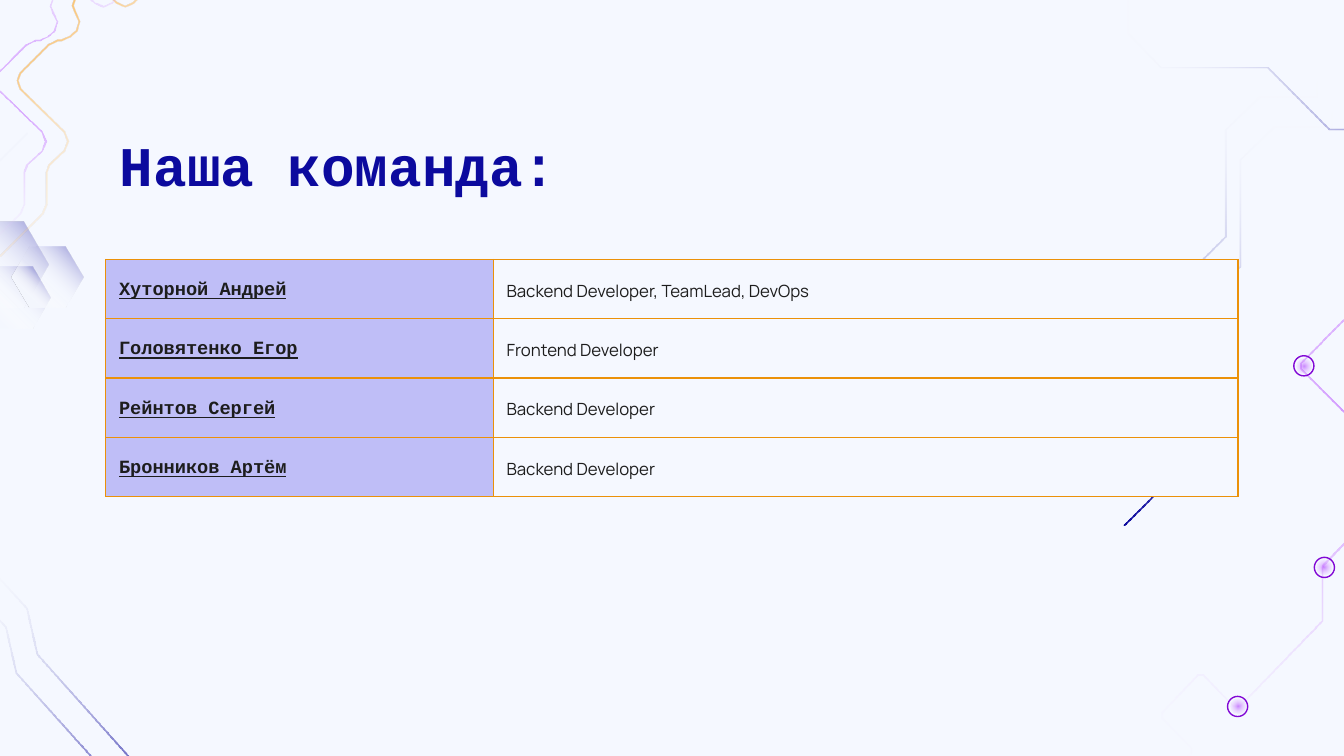
from math import hypot

from pptx import Presentation
from pptx.dml.color import RGBColor
from pptx.enum.shapes import MSO_SHAPE
from pptx.enum.text import MSO_ANCHOR, PP_ALIGN
from pptx.oxml import parse_xml
from pptx.oxml.ns import nsdecls
from pptx.util import Pt

OVAL, HEXAGON = MSO_SHAPE.OVAL, MSO_SHAPE.HEXAGON
TOP, MIDDLE, LEFT = MSO_ANCHOR.TOP, MSO_ANCHOR.MIDDLE, PP_ALIGN.LEFT

# Colours
PAPER = RGBColor(0xF5, 0xF8, 0xFF)
NAVY = RGBColor(0x0C, 0x0A, 0x9E)
INK = RGBColor(0x1D, 0x1D, 0x1D)
LILAC = RGBColor(0xBF, 0xBE, 0xF7)
ORANGE = RGBColor(0xEB, 0x91, 0x09)
AMBER = RGBColor(0xFF, 0x99, 0x00)
VIOLET = RGBColor(0x99, 0x00, 0xFF)
PURPLE = RGBColor(0x82, 0x08, 0xD5)
WHITE = RGBColor(0xFF, 0xFF, 0xFF)

# Content
HEADING = "Наша команда:"
TEAM = [
    ("Хуторной Андрей", "Backend Developer, TeamLead, DevOps"),
    ("Головятенко Егор", "Frontend Developer"),
    ("Рейнтов Сергей", "Backend Developer"),
    ("Бронников Артём", "Backend Developer"),
]
COLUMNS = (207.6, 399)
ROW_HEIGHT = 31.8

# Gradients: (position %, colour, opacity %)
NAVY_FADE = [(0, NAVY, 100), (100, WHITE, 0)]
PALE_FADE = [(0, NAVY, 37), (100, WHITE, 0)]
ORANGE_FADE = [(0, ORANGE, 100), (40, AMBER, 41), (100, WHITE, 0)]
VIOLET_GLOW = [(0, VIOLET, 47), (100, WHITE, 0)]
HEX_FADE = [(0, PAPER, 100), (22, PAPER, 100), (45, WHITE, 0), (100, NAVY, 50)]

# Circuit traces, as centre lines in points
STEPS = [(602.5, 281), (631.5, 252), (631.5, 175.5), (664.5, 142.5),
         (664.5, 85.5), (682.5, 68), (713.5, 68), (713.5, 58.5)]
CORNER = [(85, 450), (78.5, 416), (20, 350.5), (14.5, 326), (-11.5, 297.5)]
ZIGZAG = [(870, 21.5), (826, 65.5), (826, 68.5), (847.5, 90), (847.5, 93.5),
          (772, 169), (769, 169), (746.5, 147.5), (743.5, 147.5),
          (697, 194.5), (697, 197.5), (753.5, 254), (753.5, 257),
          (709, 302.5), (708.5, 304), (708.5, 332.5), (664.5, 378),
          (661, 378), (645, 361.5), (642, 361.5), (623, 381.5),
          (623, 384.5), (638.5, 400.5), (638.5, 403), (632, 410),
          (632, 413), (638.5, 420), (638, 423.5), (634.5, 422.5)]
WAVE = [(41.5, -45), (75.5, -11.5), (77, -7), (75.5, -3), (71.5, 1.5),
        (67, 3.5), (62.5, 1.5), (54, -6.5), (49.5, -8.5), (45.5, -6.5),
        (40.5, -1.5), (39, 3), (40.5, 7), (42.5, 11.5), (41, 16.5),
        (37.5, 19.5), (33, 21.5), (31, 21.5), (26, 24), (11, 39), (9.5, 43),
        (11, 47.5), (34.5, 70.5), (36.5, 75.5), (34.5, 80.5), (26.5, 88),
        (25, 92), (25, 109), (23, 114), (0, 137)]
HOOK = [(14.5, 71), (-7, 92.5), (-7, 51), (-23, 51), (-23, 13.5)]
NODES = [(663, 378.5), (709.5, 304), (698.5, 196)]
HEXAGONS = [(-27.5, 119, 53.5, 46), (-11, 143, 38, 33), (6.5, 132, 38, 33)]


def shifted(points, dx, dy):
    return [(x + dx, y + dy) for x, y in points]


def ribbon(points, width=1):
    """Closed outline around a centre line, with mitred corners."""
    normals = []
    for (x1, y1), (x2, y2) in zip(points, points[1:]):
        length = hypot(x2 - x1, y2 - y1)
        normals.append(((y1 - y2) / length, (x2 - x1) / length))
    left, right = [], []
    joints = zip(points, normals[:1] + normals, normals + normals[-1:])
    for (x, y), (ax, ay), (bx, by) in joints:
        reach = width / 2 / (1 + ax * bx + ay * by)
        dx, dy = (ax + bx) * reach, (ay + by) * reach
        left.append((x + dx, y + dy))
        right.append((x - dx, y - dy))
    return left + right[::-1]


def paint(shape, stops, angle=None):
    """Gradient fill: linear at a clockwise angle, or radial without one."""
    shape.shadow.inherit = False
    shape.line.fill.background()
    shape.fill.solid()
    marks = "".join(
        f'<a:gs pos="{pos * 1000}"><a:srgbClr val="{colour}">'
        f'<a:alpha val="{opacity * 1000}"/></a:srgbClr></a:gs>'
        for pos, colour, opacity in stops)
    if angle is None:
        course = ('<a:path path="circle"><a:fillToRect l="50000" t="50000" '
                  'r="50000" b="50000"/></a:path>')
    else:
        course = f'<a:lin ang="{round(angle * 60000)}" scaled="0"/>'
    gradient = parse_xml(f'<a:gradFill {nsdecls("a")} rotWithShape="1">'
                         f'<a:gsLst>{marks}</a:gsLst>{course}</a:gradFill>')
    properties = shape._element.spPr
    properties.replace(properties.find("{*}solidFill"), gradient)


def add_trace(points, stops, angle=None):
    start, *rest = [(Pt(x), Pt(y)) for x, y in ribbon(points)]
    builder = slide.shapes.build_freeform(*start)
    builder.add_line_segments(rest, close=True)
    paint(builder.convert_to_shape(), stops, angle)


def add_preset(kind, x, y, width, height):
    return slide.shapes.add_shape(kind, Pt(x), Pt(y), Pt(width), Pt(height))


def write(frame, text, *, font, size, color, bold=False, underline=False,
          spacing=1.15, after=0):
    paragraph = frame.paragraphs[0]
    paragraph.alignment = LEFT
    paragraph.line_spacing = spacing
    paragraph.space_before, paragraph.space_after = Pt(0), Pt(after)
    run = paragraph.add_run()
    run.text = text
    run.font.name, run.font.size = font, Pt(size)
    run.font.bold, run.font.underline = bold, underline
    run.font.color.rgb = color


def add_borders(cell, color, width):
    properties = cell._tc.get_or_add_tcPr()
    for index, side in enumerate(("lnL", "lnR", "lnT", "lnB")):
        properties.insert(index, parse_xml(
            f'<a:{side} {nsdecls("a")} w="{Pt(width)}"><a:solidFill>'
            f'<a:srgbClr val="{color}"/></a:solidFill></a:{side}>'))


prs = Presentation()
prs.slide_width, prs.slide_height = Pt(720), Pt(405)
slide = prs.slides.add_slide(prs.slide_layouts[5])
slide.background.fill.solid()
slide.background.fill.fore_color.rgb = PAPER

# Traces on the right: one stepped line, moved and turned
add_trace(STEPS, NAVY_FADE, 270)
add_trace(shifted(STEPS, -8, -16), NAVY_FADE, 270)
add_trace([(y + 536.5, 700.5 - x) for x, y in STEPS], NAVY_FADE, 180)
add_trace(ZIGZAG, VIOLET_GLOW)
for x, y in NODES:
    ring = add_preset(OVAL, x - 5.4, y - 5.4, 10.8, 10.8)
    ring.shadow.inherit = False
    ring.fill.background()
    ring.line.color.rgb, ring.line.width = PURPLE, Pt(0.75)
    paint(add_preset(OVAL, x - 4, y - 4, 8, 8), VIOLET_GLOW)

# Traces and hexagons on the left
add_trace(CORNER, NAVY_FADE, 227.8)
add_trace(shifted(CORNER, -11.5, 10), NAVY_FADE, 227.8)
for box in HEXAGONS:
    hexagon = add_preset(HEXAGON, *box)
    hexagon.adjustments[0] = 0.29
    paint(hexagon, HEX_FADE, 315)
add_trace(WAVE, ORANGE_FADE, 45)
add_trace(shifted(WAVE, -12, 0), VIOLET_GLOW)
add_trace(HOOK, PALE_FADE, 45)

# Title
title = slide.shapes.title
title.left, title.top, title.width, title.height = Pt(57), Pt(57.6), Pt(606.6), Pt(45.4)
heading = title.text_frame
heading.word_wrap, heading.vertical_anchor = True, TOP
heading.margin_left = heading.margin_right = Pt(7.2)
heading.margin_top = heading.margin_bottom = Pt(7.2)
write(heading, HEADING, font="Courier New", size=30, color=NAVY, bold=True)

# Team table
table = slide.shapes.add_table(
    len(TEAM), len(COLUMNS), Pt(56.6), Pt(139),
    Pt(sum(COLUMNS)), Pt(ROW_HEIGHT * len(TEAM))).table
table.first_row = table.horz_banding = False
for column, width in zip(table.columns, COLUMNS):
    column.width = Pt(width)
STYLES = [
    (LILAC, dict(font="Courier New", size=10, bold=True, underline=True)),
    (PAPER, dict(font="Manrope", size=9, after=16)),
]
for row, member in enumerate(TEAM):
    table.rows[row].height = Pt(ROW_HEIGHT)
    for col, (text, (background, style)) in enumerate(zip(member, STYLES)):
        cell = table.cell(row, col)
        cell.fill.solid()
        cell.fill.fore_color.rgb = background
        cell.vertical_anchor = MIDDLE
        cell.margin_left = cell.margin_right = Pt(7.2)
        cell.margin_top = cell.margin_bottom = Pt(0)
        add_borders(cell, ORANGE, 0.75)
        write(cell.text_frame, text, color=INK, **style)

prs.save("out.pptx")
